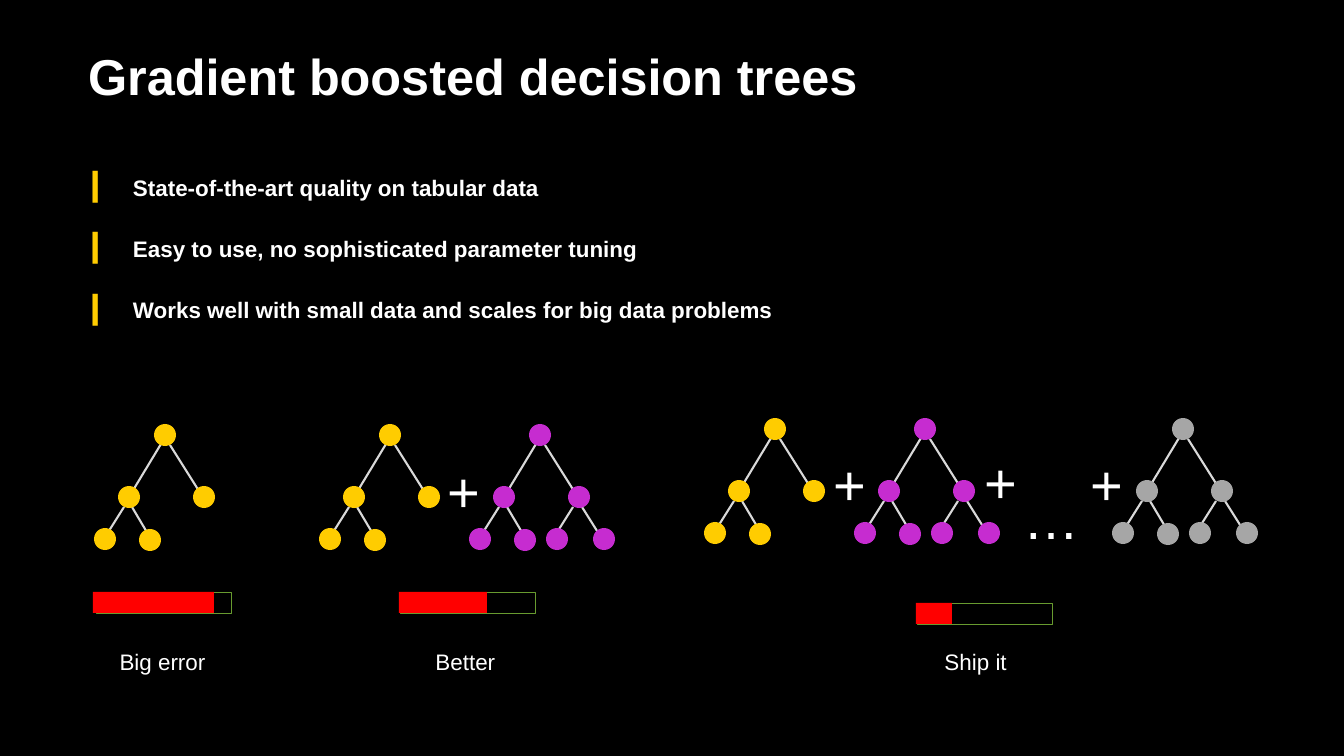
"""Build the slide on gradient boosted decision trees."""
import pptx
import pptx.dml.color
import pptx.enum.shapes
import pptx.enum.text
import pptx.oxml.ns
import pptx.util
from lxml import etree

SCALE = 18143
NODE = 22
COLORS = {"black": "000000", "white": "FFFFFF", "yellow": "FFCC00", "purple": "C62CD0",
          "gray": "A6A6A6", "edge": "D9D9D9", "red": "FF0000", "green": "689B2F"}
RGB = {name: pptx.dml.color.RGBColor.from_string(value) for name, value in COLORS.items()}
SHAPE = pptx.enum.shapes.MSO_SHAPE
ANCHOR = pptx.enum.text.MSO_ANCHOR
qn = pptx.oxml.ns.qn


def px(*lengths):
    """Turn pixels into EMU."""
    return [length * SCALE for length in lengths]


def style(paragraph, size, bold=False):
    """Set the look of a paragraph."""
    paragraph.alignment = pptx.enum.text.PP_ALIGN.LEFT
    paragraph.font.name = "Arial"
    paragraph.font.size = pptx.util.Pt(size)
    paragraph.font.bold = bold
    paragraph.font.color.rgb = RGB["white"]


deck = pptx.Presentation()
deck.slide_width, deck.slide_height = px(1344, 756)
page = deck.slides.add_slide(deck.slide_layouts[5])
page.background.fill.solid()
page.background.fill.fore_color.rgb = RGB["black"]

title = page.shapes.title
title.left, title.top, title.width, title.height = px(88, 30, 1170, 80)
frame = title.text_frame
frame.margin_left = frame.margin_right = frame.margin_bottom = 0
frame.margin_top = 11 * SCALE
frame.vertical_anchor = ANCHOR.MIDDLE
frame.text = "Gradient boosted decision trees"
style(frame.paragraphs[0], 72, True)

benefits = ["State-of-the-art quality on tabular data",
            "Easy to use, no sophisticated parameter tuning",
            "Works well with small data and scales for big data problems"]
frame = page.shapes.add_textbox(*px(88, 143, 1170, 211)).text_frame
frame.word_wrap = True
frame.vertical_anchor = ANCHOR.MIDDLE
frame.text = "\n".join(benefits)
for index, paragraph in enumerate(frame.paragraphs):
    properties = paragraph._p.get_or_add_pPr()
    properties.set("marL", str(40 * SCALE))
    properties.set("indent", str(-40 * SCALE))
    bullet_color = etree.SubElement(properties, qn("a:buClr"))
    etree.SubElement(bullet_color, qn("a:srgbClr"), val=COLORS["yellow"])
    etree.SubElement(properties, qn("a:buSzPct"), val="120000")
    etree.SubElement(properties, qn("a:buFont"), typeface="Arial")
    etree.SubElement(properties, qn("a:buChar"), char="\u258e")
    style(paragraph, 32, True)
    if index:
        paragraph.space_before = pptx.util.Pt(49)

SMALL_NODES = [(0, 0), (-36, 62), (39, 62), (-60, 104), (-15, 105)]
FULL_NODES = SMALL_NODES + [(17, 104), (64, 104)]
SMALL_EDGES = [(-33, 57, -4, 9), (34, 56, 5, 10), (-58, 99, -41, 72), (-17, 99, -33, 72)]
FULL_EDGES = SMALL_EDGES + [(16, 99, 33, 72), (59, 99, 42, 72)]
TREES = {"yellow": (SMALL_NODES, SMALL_EDGES),
         "purple": (FULL_NODES, FULL_EDGES),
         "gray": (FULL_NODES, FULL_EDGES)}

stages = [
    (435, [(165, "yellow")], []),
    (435, [(390, "yellow"), (540, "purple")], [("+", 445, 454, 35)]),
    (429, [(775, "yellow"), (925, "purple"), (1183, "gray")],
     [("+", 831, 447, 35), ("+", 982, 445, 35), ("…", 1021, 481, 60), ("+", 1088, 447, 35)]),
]
labels = []
for root_y, trees, signs in stages:
    group = page.shapes.add_group_shape()
    for root_x, color in trees:
        nodes, edges = TREES[color]
        for x1, y1, x2, y2 in edges:
            edge = group.shapes.add_connector(
                pptx.enum.shapes.MSO_CONNECTOR.STRAIGHT,
                *px(root_x + x1, root_y + y1, root_x + x2, root_y + y2))
            edge.line.color.rgb = RGB["edge"]
            edge.line.width = pptx.util.Pt(3)
            etree.SubElement(edge._element.spPr, qn("a:effectLst"))
        for x, y in nodes:
            node = group.shapes.add_shape(SHAPE.OVAL, *px(
                root_x + x - NODE // 2, root_y + y - NODE // 2, NODE, NODE))
            node.shadow.inherit = False
            node.fill.solid()
            node.fill.fore_color.rgb = RGB[color]
            node.line.fill.background()
    for text, left, top, width in signs:
        labels.append((group, text, left, top, width, 72, 80))

for left, top, error_left, error_width in [(96, 592, 93, 121), (400, 592, 399, 88),
                                           (917, 603, 916, 36)]:
    group = page.shapes.add_group_shape()
    for bar_left, width, color in [(left, 135, "black"), (error_left, error_width, "red")]:
        bar = group.shapes.add_shape(SHAPE.RECTANGLE, *px(bar_left, top, width, 21))
        bar.shadow.inherit = False
        bar.fill.solid()
        bar.fill.fore_color.rgb = RGB[color]
        if color == "black":
            bar.line.color.rgb = RGB["green"]
            bar.line.width = pptx.util.Pt(1)
        else:
            bar.line.fill.background()

labels += [(page, "Big error", 117, 646, 92, 32, 32),
           (page, "Better", 433, 646, 66, 32, 32),
           (page, "Ship it", 942, 646, 246, 32, 32)]
for parent, text, left, top, width, height, size in labels:
    frame = parent.shapes.add_textbox(*px(left, top, width, height)).text_frame
    frame.word_wrap = text not in ("Big error", "Better")
    frame.margin_left = frame.margin_right = pptx.util.Pt(3.6)
    frame.margin_top = frame.margin_bottom = pptx.util.Pt(3.6)
    frame.text = text
    style(frame.paragraphs[0], size)

deck.save("out.pptx")
